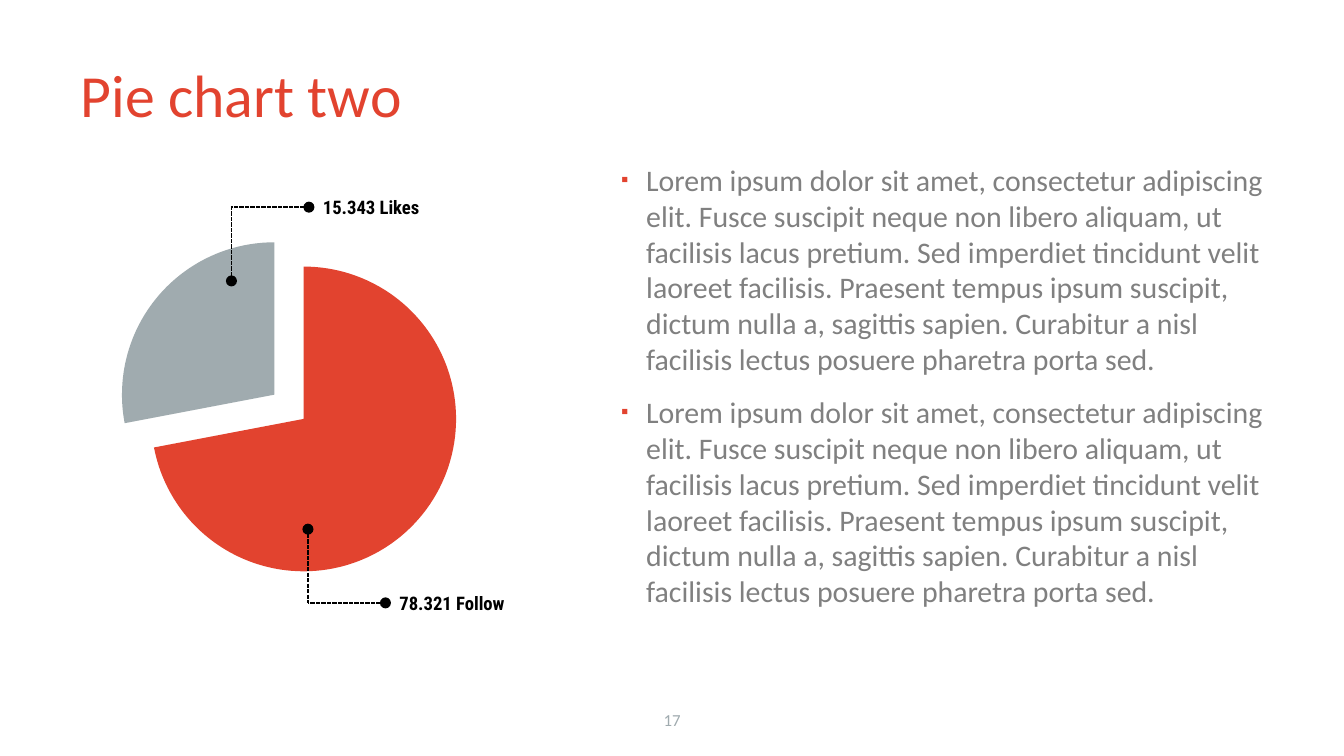
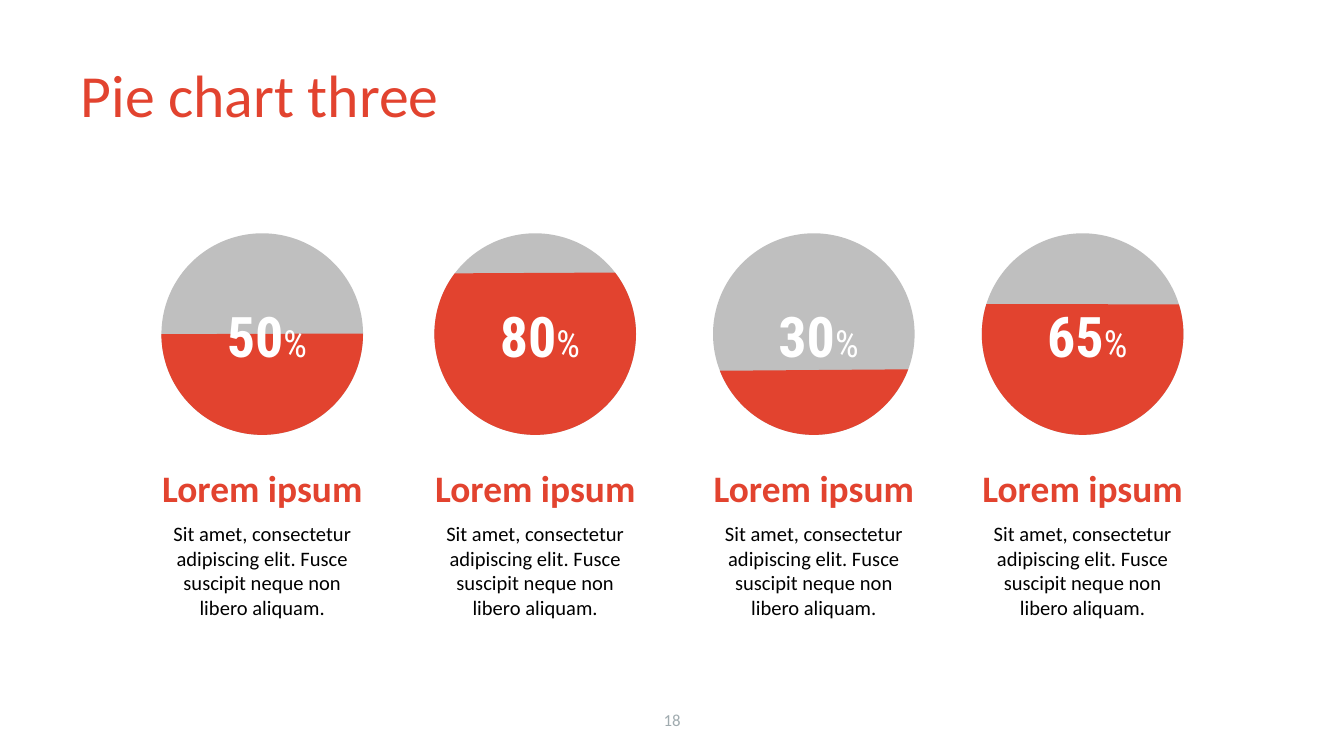
from typing import NamedTuple

from lxml import etree
from pptx import Presentation
from pptx.chart.data import CategoryChartData
from pptx.dml.color import RGBColor
from pptx.enum.chart import XL_CHART_TYPE
from pptx.enum.dml import MSO_LINE
from pptx.enum.shapes import MSO_CONNECTOR, MSO_SHAPE
from pptx.enum.text import MSO_ANCHOR, MSO_AUTO_SIZE, PP_ALIGN
from pptx.oxml.ns import qn
from pptx.util import Pt

PIE = XL_CHART_TYPE.PIE
SYS_DASH = MSO_LINE.SQUARE_DOT
STRAIGHT = MSO_CONNECTOR.STRAIGHT
ELLIPSE, CHORD = MSO_SHAPE.OVAL, MSO_SHAPE.CHORD
TOP, MIDDLE = MSO_ANCHOR.TOP, MSO_ANCHOR.MIDDLE
NO_FIT = MSO_AUTO_SIZE.NONE
LEFT, CENTER = PP_ALIGN.LEFT, PP_ALIGN.CENTER

COLORS = {
    "red": "E2432F",
    "steel": "A0ABAF",
    "silver": "BFBFBF",
    "gray": "808080",
    "black": "000000",
    "white": "FFFFFF",
}
BODY_FONT = "Calibri"
LABEL_FONT = "Roboto Condensed"
CONTENT_LAYOUT, TITLE_LAYOUT = 1, 5

LOREM = (
    "Lorem ipsum dolor sit amet, consectetur adipiscing elit. Fusce suscipit neque "
    "non libero aliquam, ut facilisis lacus pretium. Sed imperdiet tincidunt velit "
    "laoreet facilisis. Praesent tempus ipsum suscipit, dictum nulla a, sagittis "
    "sapien. Curabitur a nisl facilisis lectus posuere pharetra porta sed."
)
CAPTION = "Sit amet, consectetur adipiscing elit. Fusce suscipit neque non\vlibero aliquam."

CALLOUT_REACH, CALLOUT_RISE = 41.5, 39.5
DIAMETER, GAUGE_TOP = 108, 125
CAPTION_WIDTH = 131


class Callout(NamedTuple):
    text: str
    corner_x: float
    corner_y: float
    direction: int


class Gauge(NamedTuple):
    percent: str
    left: float
    start_angle: float
    end_angle: float


CALLOUTS = [
    Callout("15.343 Likes", 124, 111, 1),
    Callout("78.321 Follow", 165, 323, -1),
]
GAUGES = [
    Gauge("50", 86.5, 359.68, 179.93),
    Gauge("80", 232.75, 322.38, 217.07),
    Gauge("30", 382, 20.47, 158.66),
    Gauge("65", 526, 342.87, 197.29),
]


def rgb(color: str) -> RGBColor:
    return RGBColor.from_string(COLORS[color])


def set_font(font, size: float, color: str, name: str = BODY_FONT, bold: bool = False) -> None:
    font.name, font.size, font.bold = name, Pt(size), bold
    font.color.rgb = rgb(color)


def place(shape, left: float, top: float, width: float, height: float) -> None:
    shape.left, shape.top = Pt(left), Pt(top)
    shape.width, shape.height = Pt(width), Pt(height)


def add_box(page, left: float, top: float, width: float, height: float,
            anchor=MIDDLE, inset: bool = False):
    frame = page.shapes.add_textbox(Pt(left), Pt(top), Pt(width), Pt(height)).text_frame
    frame.word_wrap = True
    frame.vertical_anchor = anchor
    if not inset:
        frame.margin_left = frame.margin_right = 0
        frame.margin_top = frame.margin_bottom = 0
    return frame


def add_page(deck, layout: int, title: str, number: int):
    page = deck.slides.add_slide(deck.slide_layouts[layout])
    place(page.shapes.title, 36, 16.5, 648, 67.5)
    frame = page.shapes.title.text_frame
    frame.auto_size = NO_FIT
    frame.vertical_anchor = MIDDLE
    para = frame.paragraphs[0]
    para.text = title
    para.alignment = LEFT
    set_font(para.font, 32, "red")

    para = add_box(page, 276, 375, 168, 21.5, inset=True).paragraphs[0]
    para.text = str(number)
    para.alignment = CENTER
    set_font(para.font, 9, "steel")
    return page


def add_bullet(para) -> None:
    props = para._p.get_or_add_pPr()
    props.set("marL", str(Pt(13.5)))
    props.set("indent", str(-Pt(13.5)))
    color = etree.SubElement(props, qn("a:buClr"))
    etree.SubElement(color, qn("a:srgbClr"), val=COLORS["red"])
    etree.SubElement(props, qn("a:buSzPct"), val="70000")
    etree.SubElement(props, qn("a:buFont"), typeface="Arial")
    etree.SubElement(props, qn("a:buChar"), char="▪")


def fill_body(page, texts: list[str]) -> None:
    body = page.placeholders[1]
    place(body, 325.5, 83, 359, 281)
    frame = body.text_frame
    frame.auto_size = NO_FIT
    frame.vertical_anchor = TOP
    for index, text in enumerate(texts):
        para = frame.add_paragraph() if index else frame.paragraphs[0]
        para.text = text
        add_bullet(para)
        para.space_before = Pt(3.2 if index else 0)
        para.space_after = Pt(6)
        set_font(para.font, 16, "gray")


def explode_before(element, percent: int) -> None:
    explosion = etree.Element(qn("c:explosion"), val=str(percent))
    element.addprevious(explosion)


def add_pie(page) -> None:
    data = CategoryChartData()
    data.categories = ["1", "2"]
    data.add_series("Series 1", [72, 28])
    chart = page.shapes.add_chart(PIE, Pt(-21), Pt(99.5), Pt(336), Pt(224), data).chart
    chart.has_legend = chart.has_title = False
    set_font(chart.font, 18, "black")
    plot = chart.plots[0]
    plot.vary_by_categories = True
    series = plot.series[0]
    for index, color in enumerate(["red", "steel"]):
        look = series.points[index].format
        look.fill.solid()
        look.fill.fore_color.rgb = rgb(color)
        look.line.fill.background()
    first, second = series._element.findall(qn("c:dPt"))
    explode_before(first, 25)
    explode_before(second.find(qn("c:spPr")), 0)


def add_dotted_line(page, dot: tuple[float, float], end: tuple[float, float]) -> None:
    line = page.shapes.add_connector(STRAIGHT, *(Pt(value) for value in dot + end))
    line.line.color.rgb = rgb("black")
    line.line.width = Pt(0.75)
    line.line.dash_style = SYS_DASH
    etree.SubElement(line.line._get_or_add_ln(), qn("a:headEnd"), type="oval")
    etree.SubElement(line._element.spPr, qn("a:effectLst"))


def add_callout(page, callout: Callout) -> None:
    x, y = callout.corner_x, callout.corner_y
    end_x = x + CALLOUT_REACH
    add_dotted_line(page, (x, y + callout.direction * CALLOUT_RISE), (x, y))
    add_dotted_line(page, (end_x, y), (x, y))
    para = add_box(page, end_x + 7.5, y - 14.5, 83, 29).paragraphs[0]
    para.text = callout.text
    para.space_after = Pt(3)
    set_font(para.font, 10, "black", LABEL_FONT, True)


def add_disc(page, kind, left: float, color: str):
    disc = page.shapes.add_shape(kind, Pt(left), Pt(GAUGE_TOP), Pt(DIAMETER), Pt(DIAMETER))
    disc.shadow.inherit = False
    disc.fill.solid()
    disc.fill.fore_color.rgb = rgb(color)
    disc.line.fill.background()
    return disc


def add_gauge(page, gauge: Gauge) -> None:
    add_disc(page, ELLIPSE, gauge.left, "silver")
    level = add_disc(page, CHORD, gauge.left, "red")
    level.adjustments[0] = gauge.start_angle * 0.6
    level.adjustments[1] = gauge.end_angle * 0.6

    para = add_box(page, gauge.left + 6, 163.5, 101, 32).paragraphs[0]
    para.alignment = CENTER
    para.space_after = Pt(3)
    for text, size, bold in [(gauge.percent, 30, True), ("%", 20, False)]:
        span = para.add_run()
        span.text = text
        set_font(span.font, size, "white", LABEL_FONT, bold)

    left = gauge.left + (DIAMETER - CAPTION_WIDTH) / 2
    frame = add_box(page, left, 245.5, CAPTION_WIDTH, 91, TOP, inset=True)
    heading, caption = frame.paragraphs[0], frame.add_paragraph()
    heading.text, caption.text = "Lorem ipsum", CAPTION
    for para in (heading, caption):
        para.alignment = CENTER
        para.space_after = Pt(6)
    set_font(heading.font, 20, "red", bold=True)
    set_font(caption.font, 11, "black")


def main() -> None:
    deck = Presentation()
    deck.slide_width, deck.slide_height = Pt(720), Pt(405)

    page = add_page(deck, CONTENT_LAYOUT, "Pie chart two", 17)
    fill_body(page, [LOREM, LOREM])
    add_pie(page)
    for callout in CALLOUTS:
        add_callout(page, callout)

    page = add_page(deck, TITLE_LAYOUT, "Pie chart three", 18)
    for gauge in GAUGES:
        add_gauge(page, gauge)

    deck.save("out.pptx")


if __name__ == "__main__":
    main()
